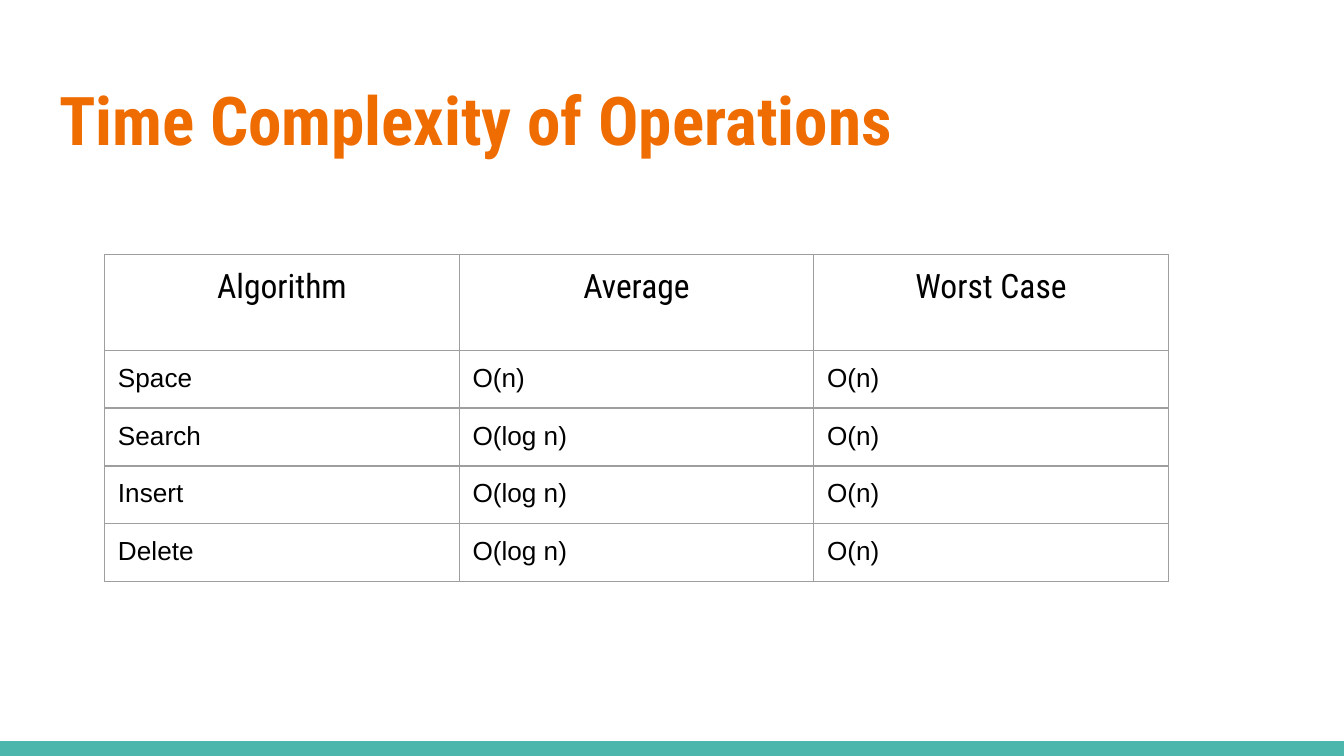
"""Builds a slide that tabulates the time complexity of operations."""
from lxml import etree
from pptx import Presentation
from pptx import util as u
from pptx.dml import color
from pptx.enum import shapes, text
from pptx.oxml import ns

TITLE = "Time Complexity of Operations"
ROWS = [
    ("Algorithm", "Average", "Worst Case"),
    ("Space", "O(n)", "O(n)"),
    ("Search", "O(log n)", "O(n)"),
    ("Insert", "O(log n)", "O(n)"),
    ("Delete", "O(log n)", "O(n)"),
]

THEME = {
    "bar": "4DB6AC",
    "border": "9E9E9E",
    "border_width": u.Pt(0.75),
    "title": {"name": "Roboto Condensed", "size": u.Pt(36), "bold": True, "color": "EF6C00"},
    "header": {"name": "Roboto Condensed", "size": u.Pt(18), "bold": False, "color": "000000"},
    "body": {"name": "Arial", "size": u.Pt(14), "bold": False, "color": "000000"},
}
INSET = u.Cm(0.25)
MARGINS = {f"margin_{side}": INSET for side in ("left", "top", "right", "bottom")}
PAGE_WIDTH, PAGE_HEIGHT = u.Cm(25.4), u.Cm(14.29)
BAR_HEIGHT = u.Cm(0.28)
TABLE_LEFT, TABLE_TOP = u.Cm(1.98), u.Cm(4.81)
COLUMN_WIDTH, HEADER_HEIGHT, ROW_HEIGHT = u.Cm(6.7), u.Cm(1.81), u.Cm(1.06)


def apply(target, values):
    for name, value in values.items():
        setattr(target, name, value)


def write(frame, words, style, align):
    para = frame.paragraphs[0]
    para.alignment = align
    span = para.add_run()
    span.text = words
    apply(span.font, {key: value for key, value in style.items() if key != "color"})
    span.font.color.rgb = color.RGBColor.from_string(style["color"])


def outline(cell):
    properties = cell._tc.get_or_add_tcPr()
    for side in ("a:lnL", "a:lnR", "a:lnT", "a:lnB"):
        line = etree.SubElement(properties, ns.qn(side), w=str(THEME["border_width"]))
        fill = etree.SubElement(line, ns.qn("a:solidFill"))
        etree.SubElement(fill, ns.qn("a:srgbClr"), val=THEME["border"])


def add_bar(page):
    bar = page.shapes.add_shape(
        shapes.MSO_SHAPE.RECTANGLE, 0, PAGE_HEIGHT - BAR_HEIGHT, PAGE_WIDTH, BAR_HEIGHT
    )
    bar.shadow.inherit = False
    bar.fill.solid()
    bar.fill.fore_color.rgb = color.RGBColor.from_string(THEME["bar"])
    bar.line.fill.background()


def add_title(page):
    box = page.shapes.add_textbox(u.Cm(0.87), u.Cm(1.24), u.Cm(23.67), u.Cm(1.95))
    apply(box.text_frame, {**MARGINS, "word_wrap": True})
    write(box.text_frame, TITLE, THEME["title"], text.PP_ALIGN.LEFT)


def add_grid(page):
    heights = [HEADER_HEIGHT] + [ROW_HEIGHT] * (len(ROWS) - 1)
    columns = len(ROWS[0])
    table = page.shapes.add_table(
        len(ROWS), columns, TABLE_LEFT, TABLE_TOP, COLUMN_WIDTH * columns, sum(heights)
    ).table
    apply(table, {"first_row": False, "horz_banding": False})
    for column in table.columns:
        column.width = COLUMN_WIDTH
    for index, (words, height) in enumerate(zip(ROWS, heights)):
        table.rows[index].height = height
        style = THEME["body" if index else "header"]
        align = text.PP_ALIGN.LEFT if index else text.PP_ALIGN.CENTER
        for cell, label in zip(table.rows[index].cells, words):
            apply(cell, MARGINS)
            outline(cell)
            cell.fill.background()
            write(cell.text_frame, label, style, align)


def main():
    deck = Presentation()
    apply(deck, {"slide_width": PAGE_WIDTH, "slide_height": PAGE_HEIGHT})
    page = deck.slides.add_slide(deck.slide_layouts[6])
    add_bar(page)
    add_title(page)
    add_grid(page)
    deck.save("out.pptx")


if __name__ == "__main__":
    main()
